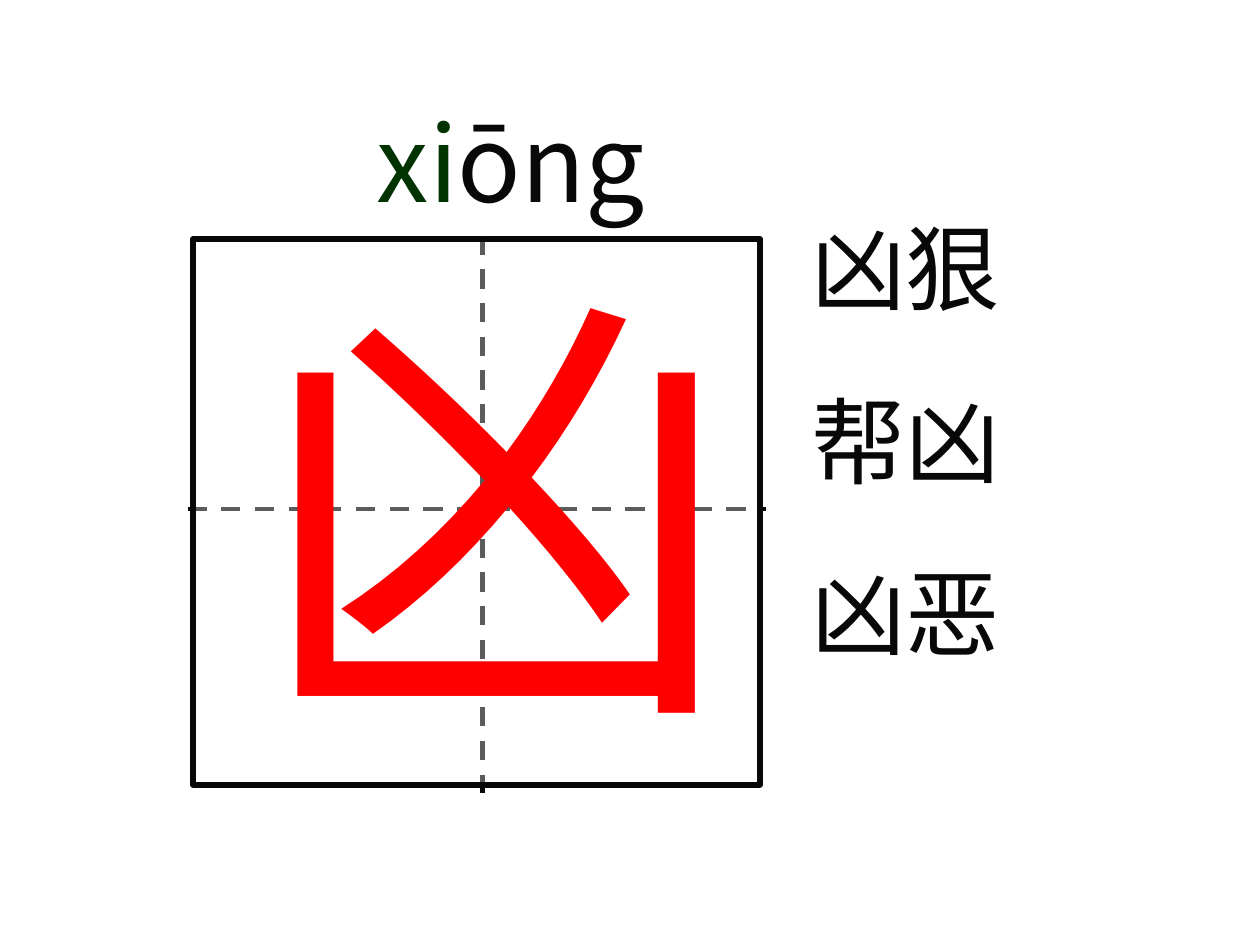
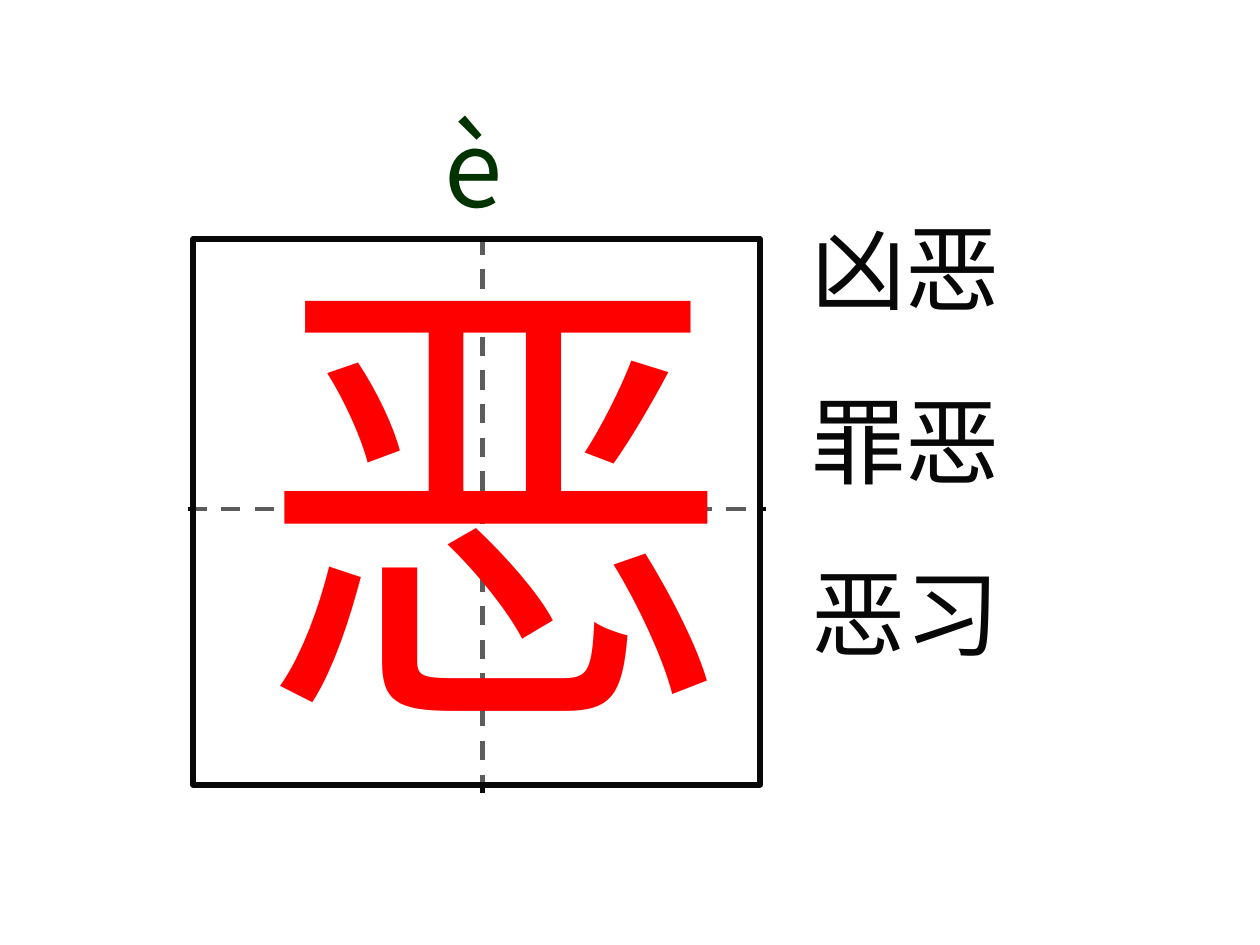
from dataclasses import dataclass

from lxml.etree import SubElement
from pptx import Presentation
from pptx.dml.color import RGBColor
from pptx.enum.dml import MSO_LINE
from pptx.enum.shapes import MSO_CONNECTOR, MSO_SHAPE
from pptx.enum.text import MSO_ANCHOR, MSO_AUTO_SIZE, PP_ALIGN
from pptx.oxml.ns import qn
from pptx.util import Cm, Pt


@dataclass(frozen=True)
class Theme:
    ink: RGBColor = RGBColor(0x08, 0x08, 0x08)
    initial: RGBColor = RGBColor(0x00, 0x33, 0x00)
    character: RGBColor = RGBColor(0xFF, 0x00, 0x00)
    paper: RGBColor = RGBColor(0xFF, 0xFF, 0xFF)
    sans: str = "Noto Sans CJK SC"
    serif: str = "Times New Roman"
    character_size: Pt = Pt(275)
    pinyin_size: Pt = Pt(60)
    word_size: Pt = Pt(54)
    word_gap: Pt = Pt(33.8)
    guide_width: Pt = Pt(2.75)
    frame_width: Pt = Pt(3.25)


THEME = Theme()

# Each lesson: character, pinyin runs with colours, pinyin position, words
LESSONS = [
    ("凶", [("xi", THEME.initial), ("ōng", THEME.ink)], (7.34, 1.83),
     ["凶狠", "帮凶", "凶恶"]),
    ("恶", [("è", THEME.initial)], (8.71, 1.93),
     ["凶恶", "罪恶", "恶习"]),
]


def style_run(r, size, color, latin):
    r.font.size = size
    r.font.bold = False
    r.font.color.rgb = color
    r.font.name = latin
    SubElement(r.font._element, qn("a:ea")).set("typeface", THEME.sans)


def set_paper_fill(sp, opacity):
    sp.fill.solid()
    sp.fill.fore_color.rgb = THEME.paper
    color = sp.fill._xPr.find(qn("a:solidFill"))[0]
    SubElement(color, qn("a:alpha")).set("val", str(opacity * 1000))


def prepare_frame(tf, wrap=True):
    tf.word_wrap = wrap
    tf.auto_size = MSO_AUTO_SIZE.SHAPE_TO_FIT_TEXT
    tf.vertical_anchor = MSO_ANCHOR.TOP


def add_guide(shapes, x1, y1, x2, y2):
    line = shapes.add_connector(MSO_CONNECTOR.STRAIGHT,
                                Cm(x1), Cm(y1), Cm(x2), Cm(y2))
    line.line.color.rgb = THEME.ink
    line.line.width = THEME.guide_width
    line.line.dash_style = MSO_LINE.DASH
    SubElement(line._element.spPr, qn("a:effectLst"))


def add_practice_grid(slide):
    shapes = slide.shapes.add_group_shape().shapes
    add_guide(shapes, 3.78, 10.26, 15.44, 10.26)
    add_guide(shapes, 9.72, 4.75, 9.72, 15.98)
    # The translucent square softens the guides beneath it
    sp = shapes.add_shape(MSO_SHAPE.RECTANGLE,
                          Cm(3.89), Cm(4.82), Cm(11.43), Cm(11))
    sp.shadow.inherit = False
    set_paper_fill(sp, 34)
    sp.line.color.rgb = THEME.ink
    sp.line.width = THEME.frame_width


def add_character(slide, character):
    sp = slide.shapes.add_textbox(Cm(4.9), Cm(3.94), Cm(10.21), Cm(11.91))
    tf = sp.text_frame
    prepare_frame(tf, wrap=False)
    tf.text = character
    style_run(tf.paragraphs[0].runs[0], THEME.character_size,
              THEME.character, THEME.sans)


def add_words(slide, words):
    sp = slide.shapes.add_textbox(Cm(16.1), Cm(4.11), Cm(8.79), Cm(9.5))
    set_paper_fill(sp, 56)
    tf = sp.text_frame
    prepare_frame(tf)
    tf.text = "\n".join(words)
    for i, p in enumerate(tf.paragraphs):
        if i:
            p.space_before = THEME.word_gap
        style_run(p.runs[0], THEME.word_size, THEME.ink, THEME.serif)


def set_pinyin_title(slide, parts, position):
    title = slide.shapes.title
    title.left, title.top = (Cm(v) for v in position)
    title.width, title.height = Cm(6.4), Cm(2.79)
    prepare_frame(title.text_frame)
    p = title.text_frame.paragraphs[0]
    p.alignment = PP_ALIGN.LEFT
    for text, color in parts:
        r = p.add_run()
        r.text = text
        style_run(r, THEME.pinyin_size, color, THEME.sans)


def main():
    prs = Presentation()
    prs.slide_width, prs.slide_height = Cm(25.4), Cm(19.05)
    title_only = prs.slide_layouts[5]
    for character, pinyin, position, words in LESSONS:
        slide = prs.slides.add_slide(title_only)
        set_pinyin_title(slide, pinyin, position)
        add_practice_grid(slide)
        add_character(slide, character)
        add_words(slide, words)
    prs.save("out.pptx")


if __name__ == "__main__":
    main()
